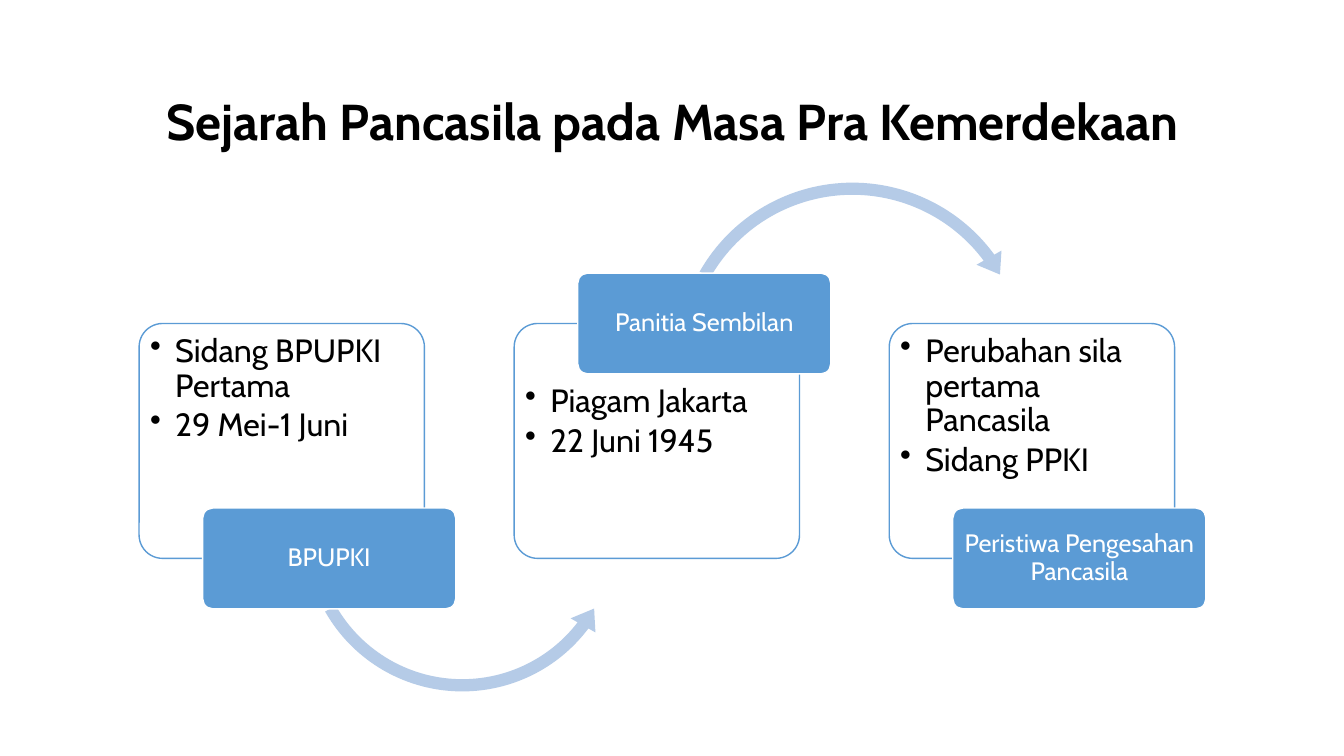
from dataclasses import dataclass

import lxml.etree
import pptx
import pptx.dml.color
import pptx.enum.shapes
import pptx.enum.text
import pptx.oxml.ns
import pptx.util
from pptx.util import Inches

Geometry = pptx.enum.shapes.MSO_SHAPE
Align = pptx.enum.text.PP_ALIGN
Anchor = pptx.enum.text.MSO_ANCHOR

COLORS = {"black": "000000", "white": "FFFFFF", "blue": "5B9BD5", "pale_blue": "B5CBE7"}
FONT = "Cabin"

PANEL_LEFT, PANEL_TOP, PANEL_PITCH = 1.38, 3.21, 3.72
PANEL_WIDTH, PANEL_HEIGHT = 2.83, 2.33
LABEL_WIDTH, LABEL_HEIGHT, LABEL_SHIFT = 2.51, 1.0, 0.63
CORNER = 0.1


@dataclass(frozen=True)
class Arc:
    geometry: Geometry
    left: float
    top: float
    size: float
    adjustments: tuple[float, ...]


@dataclass(frozen=True)
class Stage:
    label: str
    points: tuple[str, ...]
    label_on_top: bool = False
    arc: Arc | None = None


STAGES = (
    Stage("BPUPKI", ("Sidang BPUPKI Pertama", "29 Mei-1 Juni"),
          arc=Arc(Geometry.LEFT_CIRCULAR_ARROW, 2.94, 3.65, 3.29,
                  (0.037, 4.573, 22.328, 90.245, 0.043))),
    Stage("Panitia Sembilan", ("Piagam Jakarta", "22 Juni 1945"), label_on_top=True,
          arc=Arc(Geometry.CIRCULAR_ARROW, 6.63, 1.73, 3.65,
                  (0.033, 4.085, 194.16, 125.755, 0.039))),
    Stage("Peristiwa Pengesahan Pancasila",
          ("Perubahan sila pertama Pancasila", "Sidang PPKI")),
)


def rgb(name: str) -> pptx.dml.color.RGBColor:
    return pptx.dml.color.RGBColor.from_string(COLORS[name])


def add_bullet(paragraph) -> None:
    properties = paragraph._p.get_or_add_pPr()
    properties.set("marL", str(Inches(0.25)))
    properties.set("indent", str(Inches(-0.25)))
    bullet = lxml.etree.SubElement(properties, pptx.oxml.ns.qn("a:buChar"))
    bullet.set("char", "•")


def write_text(shape, *lines: str, size: float, color: str, bold: bool = False,
               align: Align = Align.CENTER, anchor: Anchor = Anchor.MIDDLE,
               bulleted: bool = False, space_after: float = 0,
               insets: tuple[float, float, float, float] = (0.1, 0.05, 0.1, 0.05)) -> None:
    """Fill a shape with one paragraph per line; insets run left, top, right, bottom."""
    frame = shape.text_frame
    frame.word_wrap = True
    frame.vertical_anchor = anchor
    (frame.margin_left, frame.margin_top,
     frame.margin_right, frame.margin_bottom) = map(Inches, insets)
    for index, line in enumerate(lines):
        paragraph = frame.add_paragraph() if index else frame.paragraphs[0]
        paragraph.alignment = align
        paragraph.line_spacing = 0.9
        paragraph.space_after = pptx.util.Pt(space_after)
        if bulleted:
            add_bullet(paragraph)
        run = paragraph.add_run()
        run.text = line
        run.font.name = FONT
        run.font.size = pptx.util.Pt(size)
        run.font.bold = bold
        run.font.color.rgb = rgb(color)


def add_figure(slide, geometry: Geometry, left: float, top: float, width: float,
               height: float, adjustments: tuple[float, ...], fill: str,
               line: str | None = None, opacity: int = 100):
    figure = slide.shapes.add_shape(
        geometry, Inches(left), Inches(top), Inches(width), Inches(height))
    figure.shadow.inherit = False
    for index, value in enumerate(adjustments):
        figure.adjustments[index] = value
    figure.fill.solid()
    figure.fill.fore_color.rgb = rgb(fill)
    if opacity < 100:
        color = figure._element.spPr.find(".//" + pptx.oxml.ns.qn("a:srgbClr"))
        alpha = lxml.etree.SubElement(color, pptx.oxml.ns.qn("a:alpha"))
        alpha.set("val", str(opacity * 1000))
    if line:
        figure.line.color.rgb = rgb(line)
        figure.line.width = pptx.util.Pt(1)
    else:
        figure.line.fill.background()
    return figure


def add_stage(slide, stage: Stage, left: float) -> None:
    # Panel with its points, pushed down when the label covers the top edge
    panel = add_figure(slide, Geometry.ROUNDED_RECTANGLE, left, PANEL_TOP, PANEL_WIDTH,
                       PANEL_HEIGHT, (CORNER,), "white", line="blue", opacity=90)
    text_top = 0.04 + (LABEL_HEIGHT / 2 if stage.label_on_top else 0)
    write_text(panel, *stage.points, size=23, color="black", align=Align.LEFT,
               anchor=Anchor.TOP, bulleted=True, space_after=3.5,
               insets=(0.04, text_top, 0.04, 0.04))

    # Arrow to the next stage, tucked under the label
    if stage.arc:
        arc = stage.arc
        add_figure(slide, arc.geometry, arc.left, arc.top, arc.size, arc.size,
                   arc.adjustments, "pale_blue")

    # Label centred on the top or bottom edge of the panel
    edge = PANEL_TOP if stage.label_on_top else PANEL_TOP + PANEL_HEIGHT
    label = add_figure(slide, Geometry.ROUNDED_RECTANGLE, left + LABEL_SHIFT,
                       edge - LABEL_HEIGHT / 2, LABEL_WIDTH, LABEL_HEIGHT,
                       (CORNER,), "blue", line="white")
    write_text(label, stage.label, size=18, color="white", insets=(0.04, 0.03, 0.04, 0.03))


presentation = pptx.Presentation()
presentation.slide_width, presentation.slide_height = Inches(13.33), Inches(7.5)
history = presentation.slides.add_slide(presentation.slide_layouts[6])

# Title
title = history.shapes.add_textbox(Inches(0.92), Inches(0.61), Inches(11.5), Inches(1.24))
write_text(title, "Sejarah Pancasila pada Masa Pra Kemerdekaan",
           size=36, color="black", bold=True)

# Three stages, left to right
for position, stage in enumerate(STAGES):
    add_stage(history, stage, PANEL_LEFT + position * PANEL_PITCH)

presentation.save("out.pptx")
